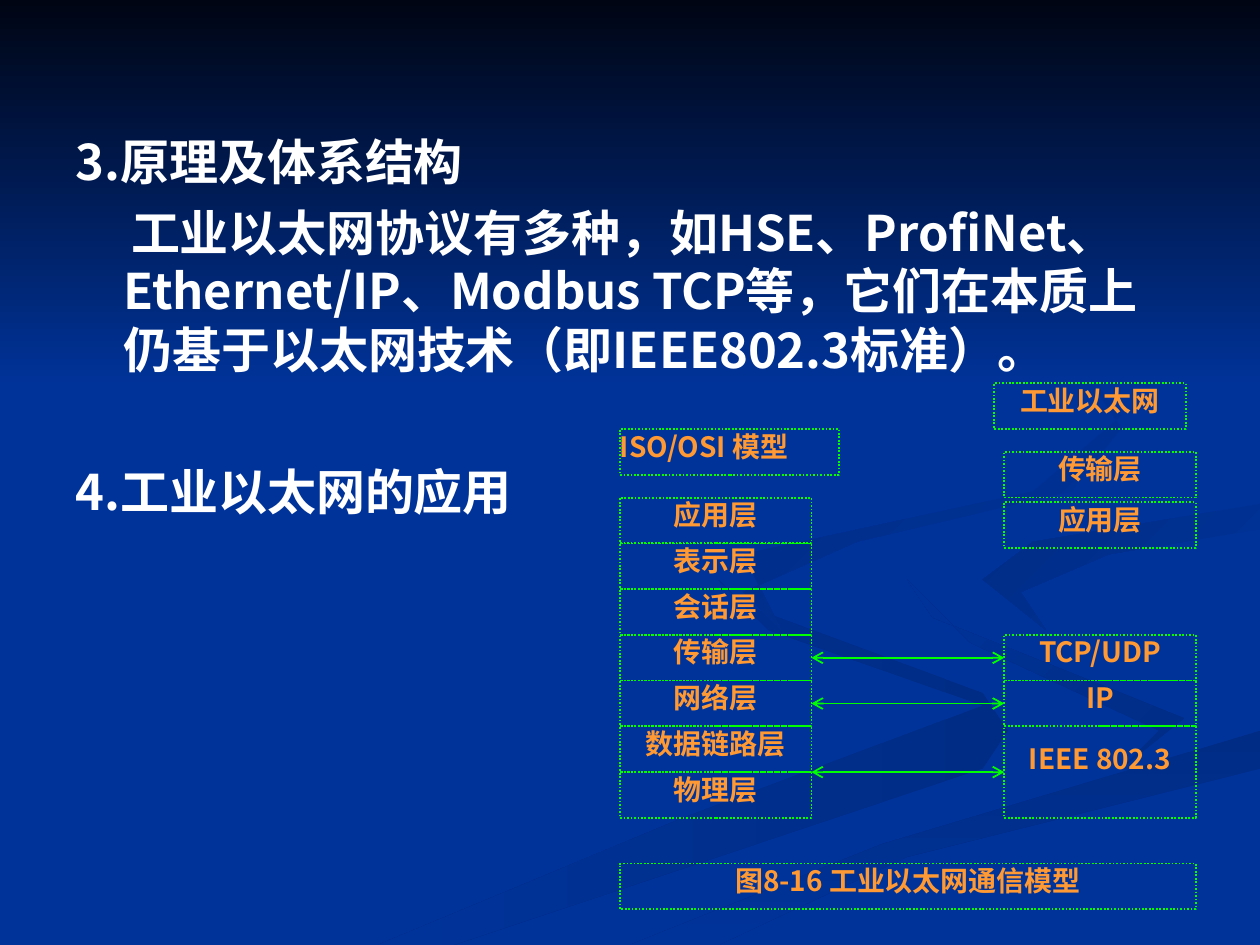
import pptx
import pptx.util
import pptx.dml.color
import pptx.enum.dml
import pptx.enum.shapes
import pptx.enum.text
import pptx.oxml.ns
import lxml.etree

Inches = pptx.util.Inches
Pt = pptx.util.Pt
RGBColor = pptx.dml.color.RGBColor
Align = pptx.enum.text.PP_ALIGN

NAVY = RGBColor(0x00, 0x33, 0x99)
NIGHT = RGBColor(0x00, 0x05, 0x14)
SHADE = RGBColor(0x00, 0x2C, 0x85)
WHITE = RGBColor(0xFF, 0xFF, 0xFF)
GREEN = RGBColor(0x00, 0xFF, 0x00)
ORANGE = RGBColor(0xFF, 0x99, 0x33)

FONT = "Noto Sans CJK SC"
WIDTH, HEIGHT = 10, 7.5
TOP, ROW = 3.95, 0.363
LEFT, RIGHT, COLUMN = 4.92, 7.97, 1.52

OSI_LAYERS = ["应用层", "表示层", "会话层", "传输层", "网络层", "数据链路层", "物理层"]

RIBBONS = [
    ([(7.8, 5.5), (5.9, 4.8), (5.7, 4.6), (6.1, 5), (7.8, 5.6),
      (5.4, 6.5), (3, 7.5), (3.6, 7.5), (7.8, 6.1), (8, 5.8)],
     SHADE, NAVY, 180),
    ([(9.4, 5.7), (7.4, 4.9), (7.2, 4.6), (7.7, 5.1), (9.2, 5.8), (8.9, 6.1)],
     SHADE, NAVY, 225),
    ([(5, 7.5), (5.7, 7.5), (7.2, 6.8), (10, 6.1), (10, 5.8), (7, 6.7)],
     SHADE, NAVY, 90),
    ([(7.8, 4.6), (8.3, 5), (8.1, 4.7), (8.8, 4.4), (10, 4.2), (10, 4), (8.2, 4.3)],
     NAVY, SHADE, 225),
    ([(6.8, 4.3), (8.5, 3.9), (8.9, 3.4), (8.5, 2.8), (8.9, 3.3),
      (8.2, 3.9), (5.9, 4.4), (6.2, 5), (5.9, 4.7)], NAVY, SHADE, 225),
    ([(0, 0), (0, 3.08), (WIDTH, 3.08), (WIDTH, 0)], NIGHT, NAVY, 90),
]


def row_top(row):
    return TOP + row * ROW


def add_ribbon(page, points, start, end, angle):
    corners = [(Inches(x), Inches(y)) for x, y in points]
    builder = page.shapes.build_freeform(*corners[0], scale=1.0)
    builder.add_line_segments(corners[1:])
    ribbon = builder.convert_to_shape()
    ribbon.shadow.inherit = False
    ribbon.line.fill.background()
    ribbon.fill.gradient()
    ribbon.fill.gradient_angle = 360 - angle
    for stop, color in zip(ribbon.fill.gradient_stops, (start, end)):
        stop.color.rgb = color


def write_text(para, text, size=16, color=ORANGE, align=Align.CENTER, before=0):
    para.alignment = align
    para.line_spacing = Pt(size * 1.2)
    para.space_before = Pt(before)
    span = para.add_run()
    span.text = text
    span.font.size = Pt(size)
    span.font.bold = True
    span.font.name = FONT
    span.font.color.rgb = color
    east_asian = lxml.etree.SubElement(
        span.font._element, pptx.oxml.ns.qn("a:ea"))
    east_asian.set("typeface", FONT)


def indent_plain(para, margin, indent):
    properties = para._p.get_or_add_pPr()
    properties.set("marL", str(Inches(margin)))
    properties.set("indent", str(Inches(indent)))
    lxml.etree.SubElement(properties, pptx.oxml.ns.qn("a:buNone"))


def fill_body(page):
    body = page.placeholders[1]
    body.left, body.top = Inches(0.5), Inches(0.99)
    body.width, body.height = Inches(8.99), Inches(5.71)
    body.element.getparent().append(body.element)
    frame = body.text_frame
    frame.word_wrap = True
    frame.auto_size = pptx.enum.text.MSO_AUTO_SIZE.NONE
    frame.vertical_anchor = pptx.enum.text.MSO_ANCHOR.TOP
    passages = [
        ("3.原理及体系结构", -0.38, 7),
        ("工业以太网协议有多种，如HSE、ProfiNet、Ethernet/IP、Modbus TCP等，"
         "它们在本质上仍基于以太网技术（即IEEE802.3标准）。", 0.06, 7),
        ("4.工业以太网的应用", -0.38, 47.6),
    ]
    for number, (text, indent, before) in enumerate(passages):
        para = frame.add_paragraph() if number else frame.paragraphs[0]
        write_text(para, text, size=28, color=WHITE, align=Align.LEFT, before=before)
        indent_plain(para, 0.38, indent)


def add_box(page, text, left, row, width=COLUMN, rows=1, inset=0, align=Align.CENTER):
    box = page.shapes.add_shape(
        pptx.enum.shapes.MSO_SHAPE.RECTANGLE, Inches(left), Inches(row_top(row)),
        Inches(width), Inches(rows * ROW))
    box.shadow.inherit = False
    box.fill.background()
    box.line.color.rgb = GREEN
    box.line.width = Pt(1)
    box.line.dash_style = pptx.enum.dml.MSO_LINE.ROUND_DOT
    frame = box.text_frame
    frame.word_wrap = True
    frame.vertical_anchor = pptx.enum.text.MSO_ANCHOR.TOP
    frame.margin_left = frame.margin_right = frame.margin_bottom = 0
    frame.margin_top = Inches(inset)
    write_text(frame.paragraphs[0], text, align=align)


def add_double_arrow(page, row):
    height = Inches(row_top(row))
    arrow = page.shapes.add_connector(
        pptx.enum.shapes.MSO_CONNECTOR.STRAIGHT,
        Inches(LEFT + COLUMN), height, Inches(RIGHT), height)
    arrow.line.color.rgb = GREEN
    arrow.line.width = Pt(1)
    outline = arrow.line._get_or_add_ln()
    for end in ("a:headEnd", "a:tailEnd"):
        lxml.etree.SubElement(outline, pptx.oxml.ns.qn(end)).set("type", "arrow")
    lxml.etree.SubElement(
        arrow.element.spPr, pptx.oxml.ns.qn("a:effectLst"))


def add_model(page):
    for row, layer in enumerate(OSI_LAYERS):
        add_box(page, layer, LEFT, row)
    add_box(page, "ISO/OSI 模型", LEFT, -1.5, width=1.74, align=Align.LEFT)
    add_box(page, "TCP/UDP", RIGHT, 3)
    add_box(page, "IP", RIGHT, 4)
    add_box(page, "IEEE 802.3", RIGHT, 5, rows=2, inset=0.12)
    add_box(page, "传输层", RIGHT, -1)
    add_box(page, "应用层", RIGHT, 0.1)
    add_box(page, "工业以太网", 7.89, -2.5)
    add_box(page, "图8-16 工业以太网通信模型", LEFT, 8, width=RIGHT + COLUMN - LEFT)
    for row in (3.5, 4.5, 6):
        add_double_arrow(page, row)


def main():
    deck = pptx.Presentation()
    deck.slide_width, deck.slide_height = Inches(WIDTH), Inches(HEIGHT)
    page = deck.slides.add_slide(deck.slide_layouts[1])
    page.background.fill.solid()
    page.background.fill.fore_color.rgb = NAVY
    title = page.shapes.title.element
    title.getparent().remove(title)
    for ribbon in RIBBONS:
        add_ribbon(page, *ribbon)
    fill_body(page)
    add_model(page)
    deck.save("out.pptx")


if __name__ == "__main__":
    main()
